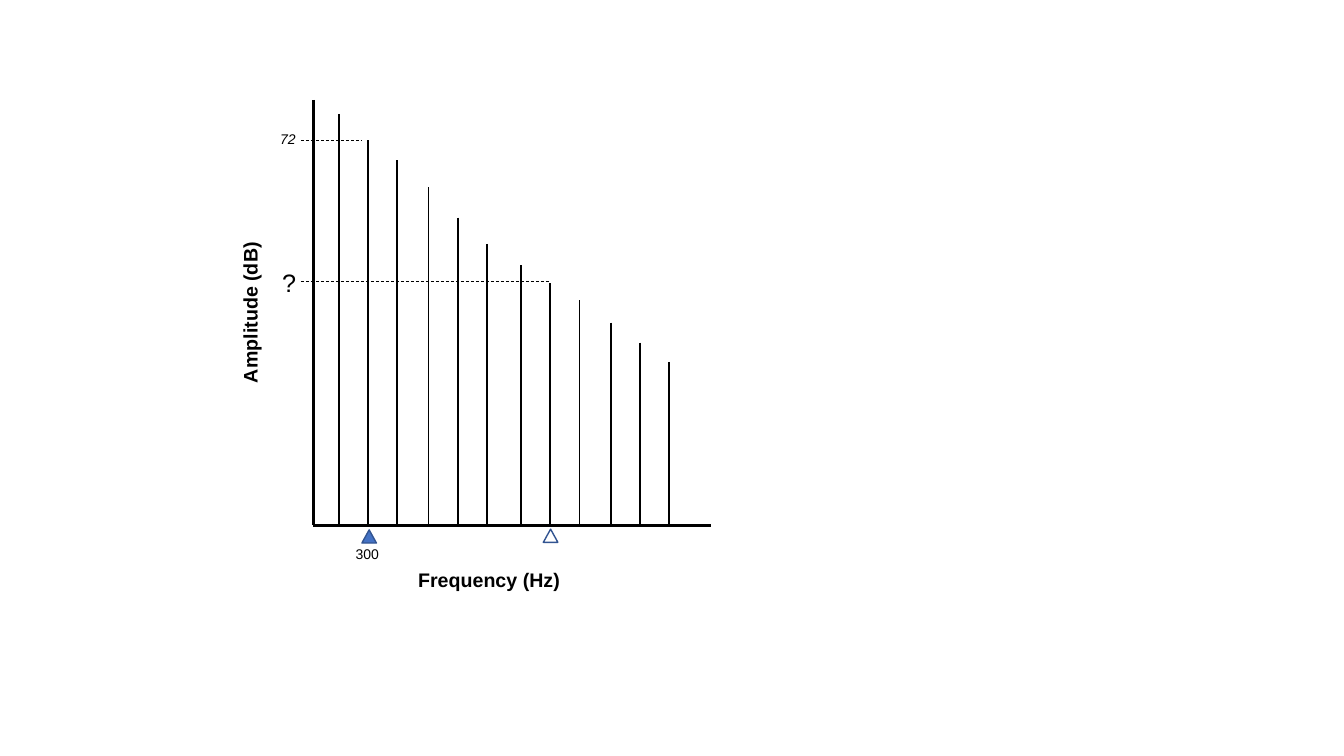
from dataclasses import dataclass
from typing import Optional

import lxml.etree
import pptx
import pptx.dml.color
import pptx.enum.dml
import pptx.enum.shapes
import pptx.enum.text
import pptx.oxml.ns
import pptx.slide
import pptx.util

Pt = pptx.util.Pt
RGBColor = pptx.dml.color.RGBColor

BLACK = RGBColor(0x00, 0x00, 0x00)
MARKER_BLUE = RGBColor(0x44, 0x72, 0xC4)
MARKER_OUTLINE = RGBColor(0x32, 0x54, 0x91)

# Spectrum geometry, in points
AXIS_LEFT, AXIS_TOP, AXIS_RIGHT, BASELINE = 223.9, 71.3, 507.6, 375.1
HARMONIC_BOTTOM = 374.6
GROUP_STARTS = [241.9, 306, 372.2, 436.3]
HARMONICS_PER_GROUP = 3
HARMONIC_STEP = 20.9
HARMONIC_TOPS = [81.4, 100.1, 114.5, 133.9, 155.5, 174.2,
                 189.4, 202.3, 214.6, 230.4, 244.8, 258.5]


@dataclass(frozen=True)
class Line:
    start_x: float
    start_y: float
    end_x: float
    end_y: float
    width: float
    dashed: bool = False


@dataclass(frozen=True)
class Marker:
    left: float
    top: float
    fill: Optional[RGBColor] = None


def draw_line(slide: pptx.slide.Slide, line: Line) -> None:
    connector = slide.shapes.add_connector(
        pptx.enum.shapes.MSO_CONNECTOR.STRAIGHT,
        Pt(line.start_x), Pt(line.start_y), Pt(line.end_x), Pt(line.end_y))
    connector.line.color.rgb = BLACK
    connector.line.width = Pt(line.width)
    if line.dashed:
        connector.line.dash_style = pptx.enum.dml.MSO_LINE.DASH
    # An empty effect list removes the theme shadow
    properties = connector.element.spPr
    lxml.etree.SubElement(properties, pptx.oxml.ns.qn("a:effectLst"))


def draw_marker(slide: pptx.slide.Slide, marker: Marker) -> None:
    shape = slide.shapes.add_shape(
        pptx.enum.shapes.MSO_SHAPE.ISOSCELES_TRIANGLE,
        Pt(marker.left), Pt(marker.top), Pt(10.4), Pt(9.4))
    shape.shadow.inherit = False
    shape.line.color.rgb = MARKER_OUTLINE
    shape.line.width = Pt(1)
    if marker.fill is None:
        shape.fill.background()
    else:
        shape.fill.solid()
        shape.fill.fore_color.rgb = marker.fill


def draw_text(slide: pptx.slide.Slide, text: str, *, left: float, top: float,
              width: float, height: float, size: float, bold: bool = False,
              italic: bool = False, rotation: float = 0) -> None:
    shape = slide.shapes.add_textbox(Pt(left), Pt(top), Pt(width), Pt(height))
    shape.rotation = rotation
    frame = shape.text_frame
    frame.word_wrap = True
    frame.auto_size = pptx.enum.text.MSO_AUTO_SIZE.SHAPE_TO_FIT_TEXT
    run = frame.paragraphs[0].add_run()
    run.text = text
    run.font.name = "Arial"
    run.font.size = Pt(size)
    run.font.bold = bold
    run.font.italic = italic
    run.font.color.rgb = BLACK


def main() -> None:
    presentation = pptx.Presentation()
    presentation.slide_width, presentation.slide_height = Pt(960), Pt(540)
    slide = presentation.slides.add_slide(presentation.slide_layouts[6])

    # Axes, harmonics and level guides
    axes = [Line(AXIS_LEFT, AXIS_TOP, AXIS_LEFT, BASELINE, 2.25),
            Line(AXIS_LEFT, BASELINE, AXIS_RIGHT, BASELINE, 2.25)]
    positions = [start + index * HARMONIC_STEP for start in GROUP_STARTS
                 for index in range(HARMONICS_PER_GROUP)]
    harmonics = [Line(x, top, x, HARMONIC_BOTTOM, 1.25)
                 for x, top in zip(positions, HARMONIC_TOPS)]
    guides = [Line(214.9, 100.1, 257.8, 100.1, 0.5, dashed=True),
              Line(214.9, 200.9, 393.1, 200.9, 0.5, dashed=True)]
    for line in axes + harmonics + guides:
        draw_line(slide, line)

    # Frequency markers
    for marker in [Marker(258.5, 378.5, MARKER_BLUE), Marker(388.1, 378)]:
        draw_marker(slide, marker)

    # Value labels
    draw_text(slide, "300", left=247, top=385.9, width=33.1, height=19.4, size=10)
    draw_text(slide, "72", left=193, top=90, width=33.1, height=19.4, size=10,
              italic=True)
    draw_text(slide, "?", left=194.4, top=187.2, width=33.1, height=29, size=18)

    # Axis titles
    draw_text(slide, "Amplitude (dB)", left=115.9, top=205.9, width=125.3,
              height=24.3, size=14, bold=True, rotation=270)
    draw_text(slide, "Frequency (Hz)", left=291.6, top=401.8, width=125.3,
              height=24.3, size=14, bold=True)

    presentation.save("out.pptx")


if __name__ == "__main__":
    main()
